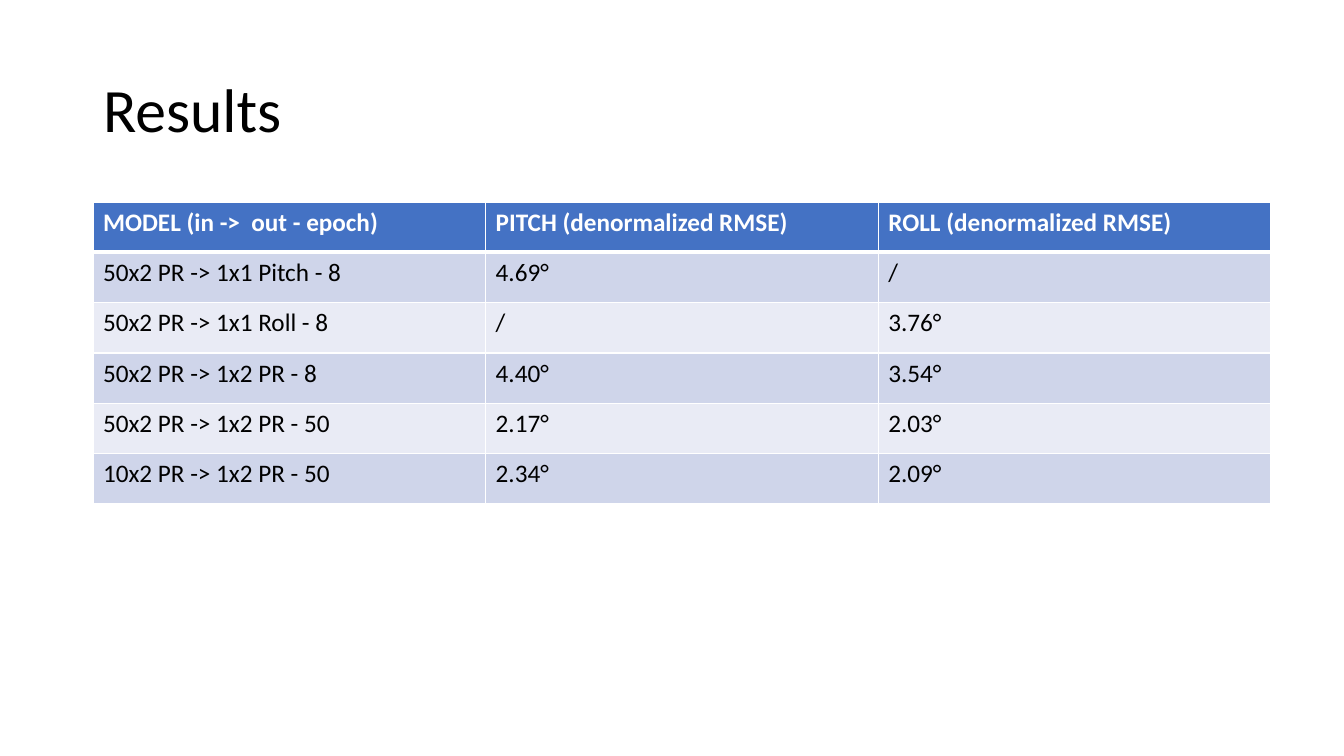
from dataclasses import dataclass

from lxml import etree
from pptx import Presentation
from pptx import util as u
from pptx.dml.color import RGBColor
from pptx.enum import text
from pptx.oxml import ns

SCALE = 914400 / 100.8


def px(num):
    """Turn pixels into EMU."""
    return u.Emu(round(num * SCALE))


@dataclass(frozen=True)
class Theme:
    """Colours and type sizes of the slide."""
    face: str = "Calibri"
    ink: str = "000000"
    paper: str = "FFFFFF"
    head: str = "4472C4"
    bands: tuple = ("CFD5EA", "E9EBF5")
    title: int = 44
    cell: int = 18
    rule: int = 1
    thick: int = 3


class Deck:
    """Hold the theme and the current slide."""

    def __init__(self, theme, wide, high):
        """Start a deck with one title-only slide."""
        self.theme = theme
        self.file = Presentation()
        self.file.slide_width, self.file.slide_height = px(wide), px(high)
        self.slide = self.file.slides.add_slide(self.file.slide_layouts[5])

    def style(self, para, size, color, bold=False):
        """Set the font of a paragraph."""
        font = para.font
        font.name, font.size, font.bold = self.theme.face, u.Pt(size), bold
        font.color.rgb = RGBColor.from_string(color)

    def title(self, words, left, top, wide, high):
        """Place and fill the title."""
        shape = self.slide.shapes.title
        shape.left, shape.top = px(left), px(top)
        shape.width, shape.height = px(wide), px(high)
        frame = shape.text_frame
        frame.text = words
        frame.word_wrap = True
        frame.auto_size = text.MSO_AUTO_SIZE.NONE
        frame.vertical_anchor = text.MSO_ANCHOR.MIDDLE
        para = frame.paragraphs[0]
        para.alignment = text.PP_ALIGN.LEFT
        para.line_spacing = 0.9
        self.style(para, self.theme.title, self.theme.ink)

    def edge(self, cell, side, width):
        """Draw one border of a cell."""
        props = cell._tc.get_or_add_tcPr()
        line = etree.SubElement(props, ns.qn("a:ln" + side), w=str(u.Pt(width)))
        fill = etree.SubElement(line, ns.qn("a:solidFill"))
        etree.SubElement(fill, ns.qn("a:srgbClr"), val=self.theme.paper)

    def cell(self, cell, words, row):
        """Fill and format a cell according to its row."""
        look = self.theme
        head = row == 0
        for side in "LRTB":
            under = (row, side) in ((0, "B"), (1, "T"))
            self.edge(cell, side, look.thick if under else look.rule)
        cell.fill.solid()
        tint = look.head if head else look.bands[(row - 1) % 2]
        cell.fill.fore_color.rgb = RGBColor.from_string(tint)
        cell.text = words
        color = look.paper if head else look.ink
        self.style(cell.text_frame.paragraphs[0], look.cell, color, head)

    def table(self, rows, left, top, wide, high):
        """Add a table with equal columns and rows."""
        count, cols = len(rows), len(rows[0])
        grid = self.slide.shapes.add_table(
            count, cols, px(left), px(top), px(wide), px(high)).table
        for col in grid.columns:
            col.width = px(wide / cols)
        for row, line in enumerate(rows):
            grid.rows[row].height = px(high / count)
            for col, words in enumerate(line):
                self.cell(grid.cell(row, col), words, row)


RESULTS = (
    ("MODEL (in ->  out - epoch)", "PITCH (denormalized RMSE)",
     "ROLL (denormalized RMSE)"),
    ("50x2 PR -> 1x1 Pitch - 8", "4.69°", "/"),
    ("50x2 PR -> 1x1 Roll - 8", "/", "3.76°"),
    ("50x2 PR -> 1x2 PR - 8", "4.40°", "3.54°"),
    ("50x2 PR -> 1x2 PR - 50", "2.17°", "2.03°"),
    ("10x2 PR -> 1x2 PR - 50", "2.34°", "2.09°"),
)

deck = Deck(Theme(), 1344, 756)
deck.title("Results", 93, 40, 1159, 146)
deck.table(RESULTS, 93, 202, 1178, 302)
deck.file.save("out.pptx")
